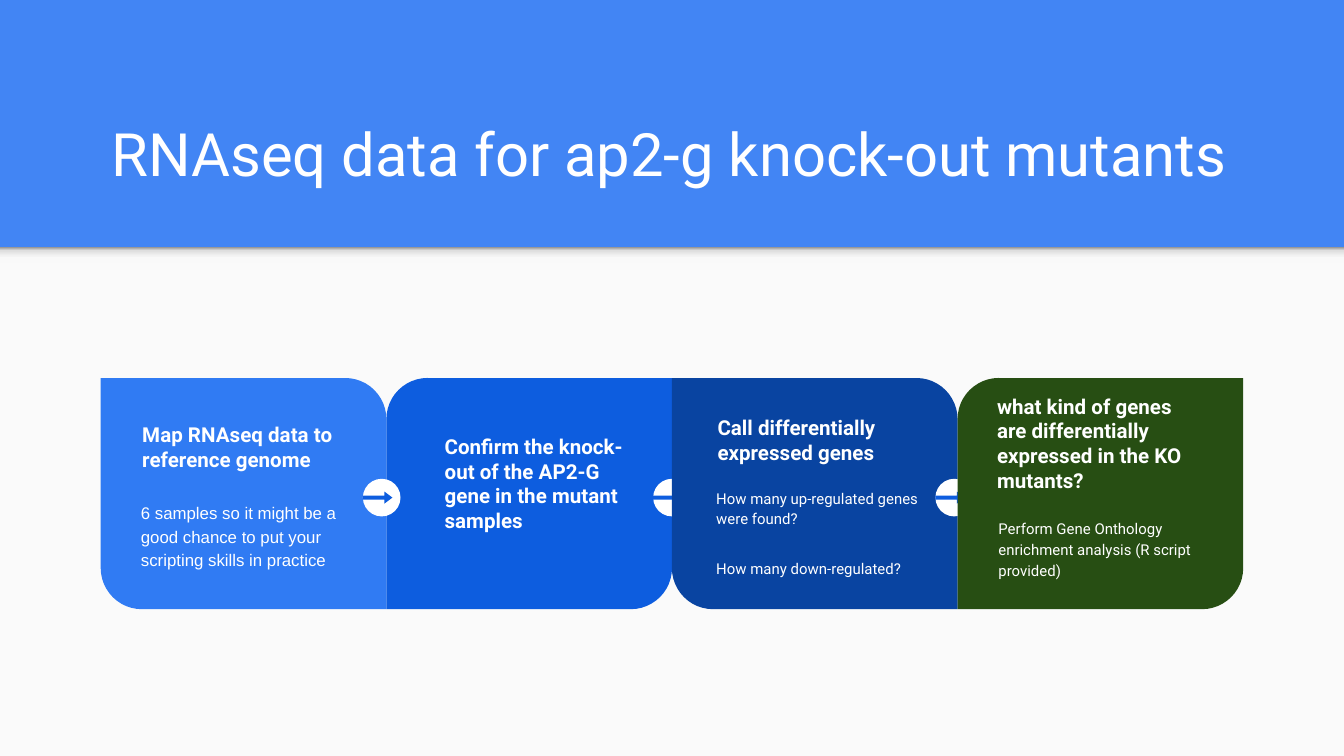
from copy import deepcopy
from dataclasses import dataclass

from pptx import Presentation
from pptx.dml.color import RGBColor
from pptx.enum.shapes import MSO_SHAPE as Shape
from pptx.enum.text import MSO_ANCHOR as Anchor
from pptx.oxml.ns import qn
from pptx.util import Inches, Pt


@dataclass(frozen=True)
class Theme:
    banner: str = "4285F4"
    panel: str = "FAFAFA"
    white: str = "FFFFFF"
    arrow: str = "0D5DDF"
    shadow: tuple = ((0, "F9F9F9"), (0.36, "F9F9F9"), (0.8, "DEDEDE"), (1, "999999"))
    heading_font: str = "Roboto"
    title_size: int = 32
    heading_size: int = 11


THEME = Theme()
WIDTH = 10
HEIGHT = WIDTH * 9 / 16
BANNER_HEIGHT = 1.84
CARD_LEFT = 0.75
CARD_TOP = HEIGHT / 2
CARD_WIDTH = (WIDTH - 2 * CARD_LEFT) / 4
CARD_HEIGHT = 1.72
CORNER = 0.178
BADGE = 0.28
ARROW_WIDTH, ARROW_HEIGHT = 0.22, 0.09
BADGE_TOP = CARD_TOP + 0.75

TITLE = "RNAseq data for ap2-g knock-out mutants"
STEPS = [
    {
        "fill": "307BF3",
        "heading": ("Map RNAseq data to reference genome", (0.96, 3.04, 1.69, 0.5)),
        "notes": (
            ["6 samples so it might be a good chance to put your scripting skills in practice"],
            (0.95, 3.62, 1.85, 0.52), 9, "Arial",
        ),
        "badge": 2.7,
    },
    {
        "fill": "0D5DDF",
        "heading": (
            "Confirm the knock-out of the AP2-G gene in the mutant samples",
            (3.21, 3.13, 1.59, 0.5),
        ),
        "badge": 4.86,
    },
    {
        "fill": "0944A1",
        "heading": ("Call differentially expressed genes", (5.24, 2.99, 1.71, 0.5)),
        "notes": (
            ["How many up-regulated genes were found?", "How many down-regulated?"],
            (5.23, 3.52, 1.71, 0.99), 8, "Roboto",
        ),
        "badge": 6.96,
    },
    {
        "fill": "274E13",
        "heading": (
            "what kind of genes are differentially expressed in the KO mutants?",
            (7.32, 2.83, 1.71, 0.5),
        ),
        "notes": (
            ["Perform Gene Onthology enrichment analysis (R script provided)"],
            (7.33, 3.75, 1.71, 0.58), 8, "Roboto",
        ),
    },
]
STACKING = (1, 0, 2, 3)


def add_shape(page, kind, area, color, adjustments=()):
    shape = page.shapes.add_shape(kind, *map(Inches, area))
    shape.shadow.inherit = False
    shape.fill.solid()
    shape.fill.fore_color.rgb = RGBColor.from_string(color)
    shape.line.fill.background()
    for index, value in enumerate(adjustments):
        shape.adjustments[index] = value
    return shape


def add_text(page, lines, area, size, font, bold=False, spacing=None, after=0, anchor=Anchor.TOP):
    box = page.shapes.add_textbox(*map(Inches, area))
    frame = box.text_frame
    frame.word_wrap = True
    frame.vertical_anchor = anchor
    frame.margin_left = frame.margin_right = Inches(0.1)
    frame.margin_top = frame.margin_bottom = Inches(0.1)
    for index, line in enumerate(lines):
        para = frame.add_paragraph() if index else frame.paragraphs[0]
        para.line_spacing = spacing
        para.space_after = Pt(after)
        span = para.add_run()
        span.text = line
        span.font.name = font
        span.font.size = Pt(size)
        span.font.bold = bold
        span.font.color.rgb = RGBColor.from_string(THEME.white)


def add_banner_shadow(page):
    strip = add_shape(page, Shape.RECTANGLE, (0, BANNER_HEIGHT, WIDTH, 0.12), THEME.panel)
    strip.fill.gradient()
    strip.fill.gradient_angle = 90
    stop_list = strip._element.spPr.find(qn("a:gradFill")).find(qn("a:gsLst"))
    while len(stop_list) < len(THEME.shadow):
        stop_list.append(deepcopy(stop_list[0]))
    for stop, (position, color) in zip(strip.fill.gradient_stops, THEME.shadow):
        stop.position = position
        stop.color.rgb = RGBColor.from_string(color)


def add_step(page, column, step):
    corners = (CORNER, 0) if column % 2 else (0, CORNER)
    left = CARD_LEFT + column * CARD_WIDTH
    card = (left, CARD_TOP, CARD_WIDTH, CARD_HEIGHT)
    add_shape(page, Shape.ROUND_2_DIAG_RECTANGLE, card, step["fill"], corners)
    heading, area = step["heading"]
    add_text(page, [heading], area, THEME.heading_size, THEME.heading_font, bold=True)
    if "notes" in step:
        add_text(page, *step["notes"], spacing=1.15, after=16)
    if "badge" in step:
        left = step["badge"]
        arrow_top = BADGE_TOP + (BADGE - ARROW_HEIGHT) / 2
        add_shape(page, Shape.OVAL, (left, BADGE_TOP, BADGE, BADGE), THEME.white)
        arrow = (left, arrow_top, ARROW_WIDTH, ARROW_HEIGHT)
        add_shape(page, Shape.RIGHT_ARROW, arrow, THEME.arrow, (0.32, 0.67))


def main():
    deck = Presentation()
    deck.slide_width, deck.slide_height = Inches(WIDTH), Inches(HEIGHT)
    page = deck.slides.add_slide(deck.slide_layouts[6])
    page.background.fill.solid()
    page.background.fill.fore_color.rgb = RGBColor.from_string(THEME.banner)
    panel = (0, BANNER_HEIGHT, WIDTH, HEIGHT - BANNER_HEIGHT)
    add_shape(page, Shape.RECTANGLE, panel, THEME.panel)
    add_banner_shadow(page)
    add_text(page, [TITLE], (0.73, 0.26, 8.99, 1.24), THEME.title_size,
             THEME.heading_font, anchor=Anchor.BOTTOM)
    for column in STACKING:
        add_step(page, column, STEPS[column])
    deck.save("out.pptx")


if __name__ == "__main__":
    main()
